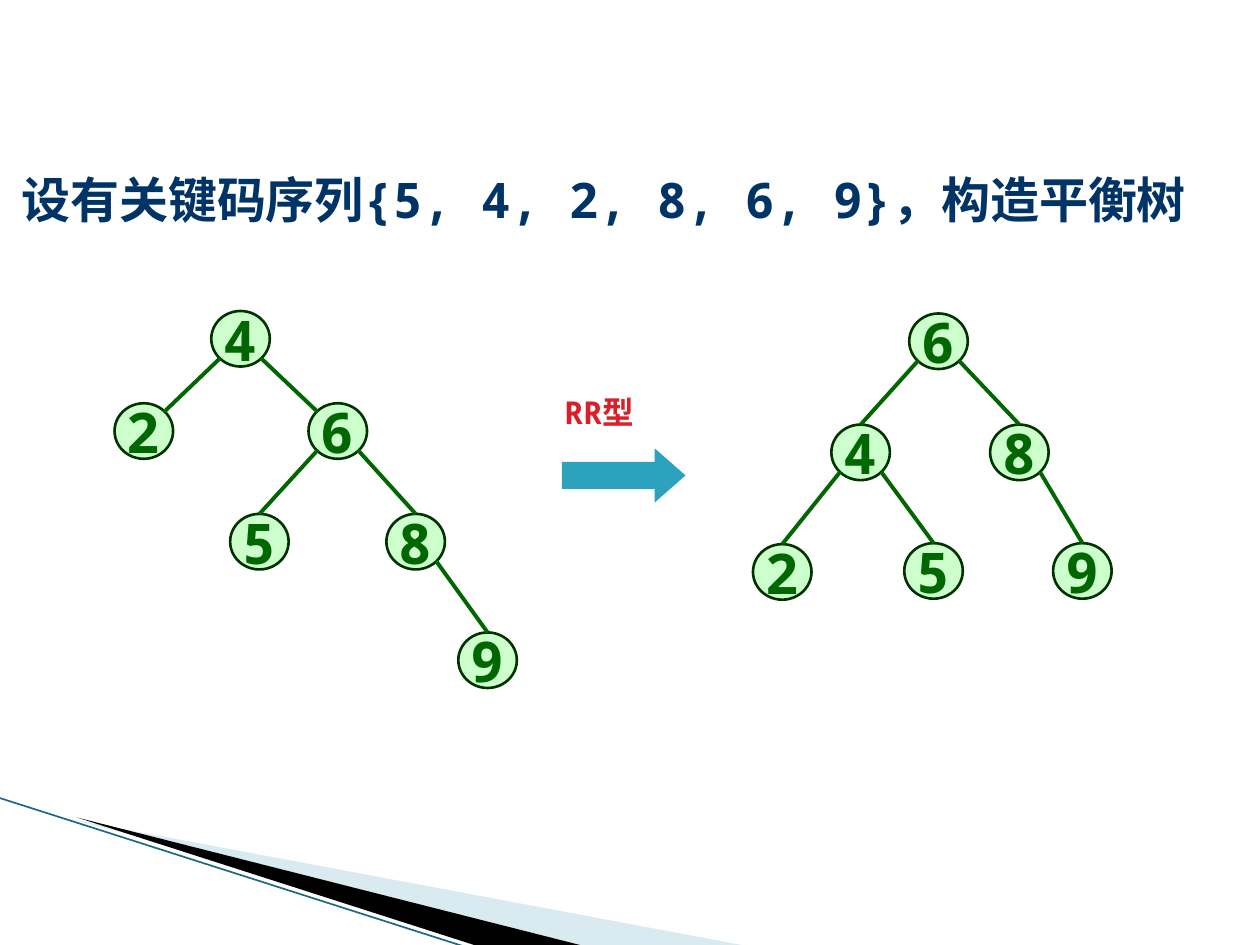
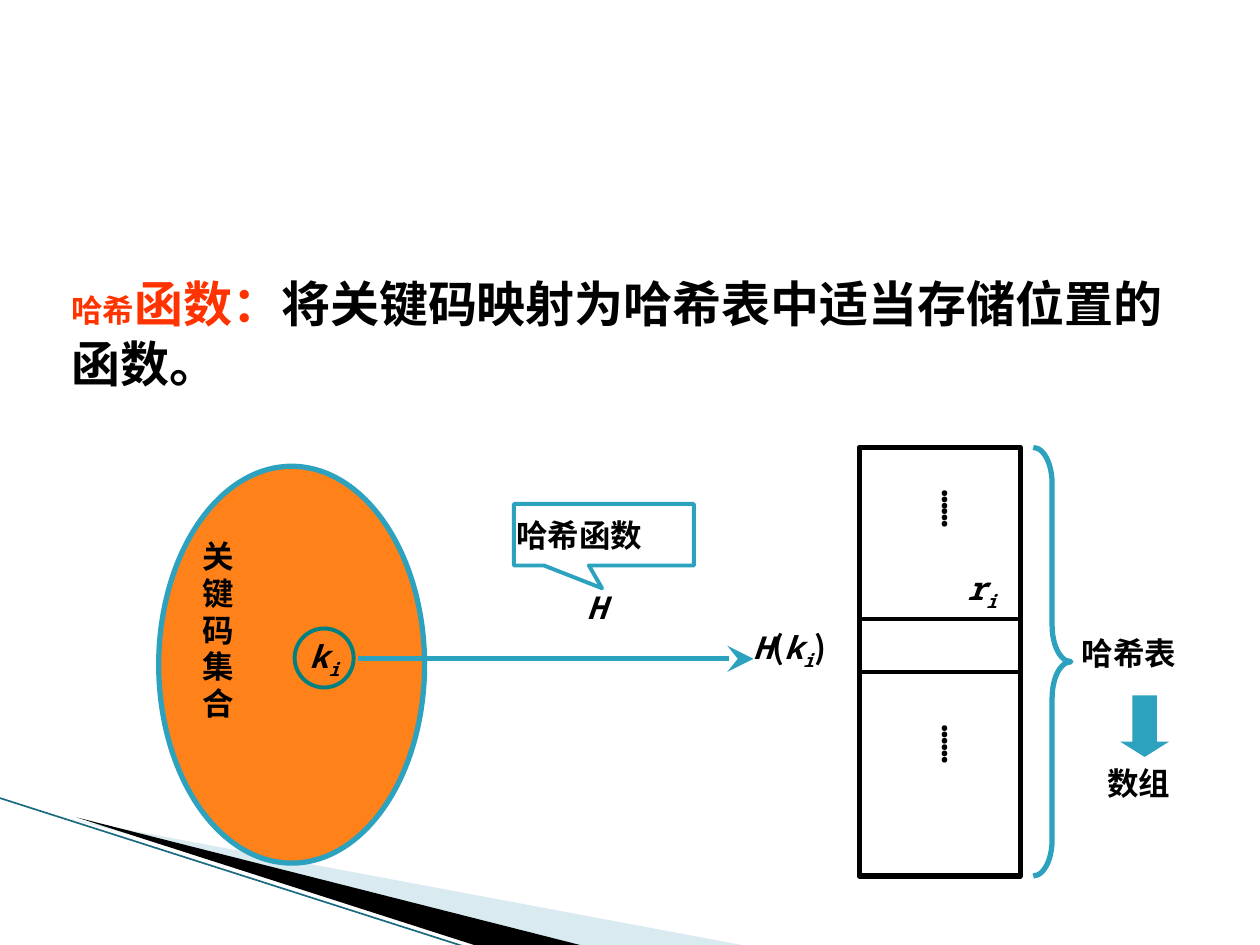
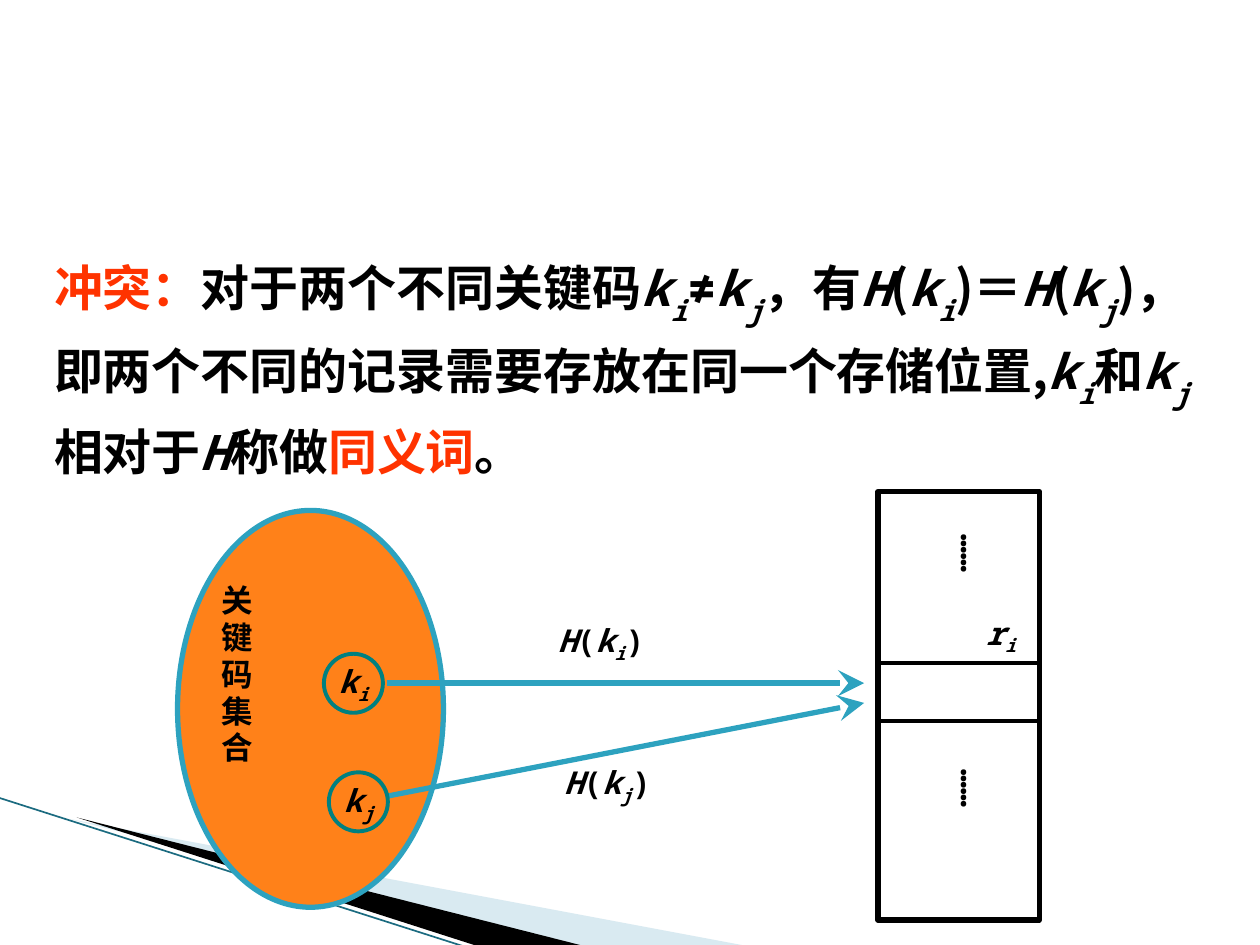
from lxml.etree import SubElement
from pptx import Presentation
from pptx.dml.color import RGBColor
from pptx.enum.shapes import MSO_CONNECTOR, MSO_SHAPE
from pptx.enum.text import MSO_ANCHOR, MSO_AUTO_SIZE, PP_ALIGN
from pptx.oxml.ns import qn
from pptx.util import Cm, Pt

MONO, CHINESE, SANS = "Noto Sans Mono", "Noto Sans CJK SC", "Arial"
TEAL, BLACK, ORANGE, RED = "2DA2BF", "000000", "FF8119", "FF3300"
EDGE_GREEN, NODE_FILL, NODE_LINE = "006600", "CCFFCC", "003300"
NAVY, LABEL_RED, RING = "003366", "DA1F28", "008080"
PALE_BLUE, THIN_LINE = "A0CBDC", "1B6B80"

TIGHT = (0.05, 0, 0.05, 0)
FLUSH = (0, 0.13, 0, 0.13)
NORMAL = (0.25, 0.13, 0.25, 0.13)
CHINESE_LINE = Pt(21.6)


def key(index, drop=-25):
    return [("k", {"italic": True}), (index, {"italic": True, "baseline": drop})]


def hashed(index, drop=-25, bracket=MONO):
    return [("H", {"italic": True}), ("(", {"font": bracket}), *key(index, drop),
            (")", {"font": bracket})]


WEDGES = [
    ([(1.4, 16.51), (15.11, 19.08), (11.58, 19.08)], PALE_BLUE, 40),
    ([(1.55, 16.48), (11.81, 19.08), (9.65, 19.08)], BLACK, 100),
]
THIN_EDGE = ((-0.03, 16.08), (9.42, 19.1))

TREE_TITLE = "设有关键码序列{5, 4, 2, 8, 6, 9}，构造平衡树"
TREES = [
    {"nodes": {"4": (4.85, 6.83), "2": (2.9, 8.69), "6": (6.81, 8.69),
               "5": (5.23, 10.92), "8": (8.38, 10.92), "9": (9.83, 13.31)},
     "edges": ["42", "46", "65", "68", "89"]},
    {"nodes": {"6": (18.92, 6.88), "4": (17.35, 9.12), "8": (20.55, 9.12),
               "2": (15.77, 11.53), "5": (18.82, 11.51), "9": (21.82, 11.51)},
     "edges": ["64", "68", "42", "45", "89"]},
]
NODE_WIDTH, NODE_HEIGHT = 1.18, 1.12

HASH_TITLE = [("哈希", {"size": 18, "color": RED}), ("函数：", {"color": RED}),
              "将关键码映射为哈希表中适当存储位置的函数。"]
HASH_DIAGRAM = {
    "origin": (3.2, 9.4), "lower_divider": 4.52,
    "keys": [("i", (5.94, 12.67))],
    "arrows": [((7.21, 13.28), (15.19, 13.28))],
    "labels": [(hashed("i", bracket=CHINESE), (15.14, 12.67, 2.06, 0.71), PP_ALIGN.LEFT),
               ([("H", {"italic": True})], (9.32, 11.91, 5.41, 0.94), PP_ALIGN.CENTER)],
}
TABLE_LABELS = [("哈希表", (21.56, 12.65, 3.07, 1.27)), ("数组", (22.07, 15.27, 2.26, 1.27))]

COLLISION_TITLE = [
    ("冲突：", {"color": RED}), "对于两个不同关键码", *key("i", -30), "≠", *key("j", -30),
    "，有", *hashed("i", -30, CHINESE), "＝", *hashed("j", -30, CHINESE),
    "，即两个不同的记录", ("需要存放在同一个存储位置,", {"font": CHINESE}),
    *key("i", -30), "和", *key("j", -30), "相对于", ("H", {"italic": True}), "称做",
    ("同义词", {"color": RED}), "。",
]
COLLISION_DIAGRAM = {
    "origin": (3.58, 10.29), "lower_divider": 4.62,
    "keys": [("i", (6.53, 13.18)), ("j", (6.63, 15.57))],
    "arrows": [((7.8, 13.77), (17.42, 13.77)), ((7.8, 16.05), (17.42, 14.17))],
    "labels": [(hashed("i"), (11.2, 12.52, 2.26, 0.94), PP_ALIGN.LEFT),
               (hashed("j"), (11.33, 15.39, 2.18, 0.94), PP_ALIGN.LEFT)],
}


def rgb(value):
    return RGBColor.from_string(value)


def write(shape, text, size=18, font=MONO, color=BLACK, asian=CHINESE, align=PP_ALIGN.LEFT,
          spacing=None, insets=NORMAL, anchor=MSO_ANCHOR.TOP, wrap=True):
    frame = shape.text_frame
    frame.auto_size = MSO_AUTO_SIZE.NONE
    frame.word_wrap = wrap
    frame.vertical_anchor = anchor
    (frame.margin_left, frame.margin_top,
     frame.margin_right, frame.margin_bottom) = map(Cm, insets)
    paragraph = frame.paragraphs[0]
    paragraph.alignment = align
    paragraph.line_spacing = spacing
    for part in [text] if isinstance(text, str) else text:
        content, changes = (part, {}) if isinstance(part, str) else part
        run = paragraph.add_run()
        run.text = content
        run.font.size = Pt(changes.get("size", size))
        run.font.bold = True
        run.font.italic = changes.get("italic", False)
        run.font.name = changes.get("font", font)
        run.font.color.rgb = rgb(changes.get("color", color))
        properties = run._r.get_or_add_rPr()
        SubElement(properties, qn("a:ea")).set("typeface", asian)
        if "baseline" in changes:
            properties.set("baseline", str(changes["baseline"] * 1000))


def add_label(slide, text, place, **style):
    label = slide.shapes.add_textbox(*map(Cm, place))
    write(label, text, **style)
    return label


def format_shape(shape, fill=None, line=None, width=1):
    shape.shadow.inherit = False
    if fill:
        shape.fill.solid()
        shape.fill.fore_color.rgb = rgb(fill)
    else:
        shape.fill.background()
    if line:
        shape.line.color.rgb = rgb(line)
        shape.line.width = Pt(width)
    else:
        shape.line.fill.background()


def add_figure(slide, kind, place, adjustments=(), **style):
    shape = slide.shapes.add_shape(kind, *map(Cm, place))
    for index, value in enumerate(adjustments):
        shape.adjustments[index] = value
    format_shape(shape, **style)
    return shape


def add_line(slide, start, end, color, width, arrow=False):
    connector = slide.shapes.add_connector(MSO_CONNECTOR.STRAIGHT, *map(Cm, (*start, *end)))
    connector.line.color.rgb = rgb(color)
    connector.line.width = Pt(width)
    properties = connector.element.spPr
    if arrow:
        head = SubElement(properties.find(qn("a:ln")), qn("a:tailEnd"))
        for name, value in (("type", "stealth"), ("w", "lg"), ("len", "lg")):
            head.set(name, value)
    SubElement(properties, qn("a:effectLst"))
    return connector


def add_title(slide, text, place, **style):
    title = slide.shapes.title
    title.left, title.top, title.width, title.height = map(Cm, place)
    write(title, text, size=28, **style)


def decorate_layout(layout, slide):
    for placeholder in list(layout.placeholders):
        if placeholder.placeholder_format.idx:
            layout.shapes.element.remove(placeholder.element)
    decorations = []
    for points, color, opacity in WEDGES:
        corners = [tuple(map(Cm, point)) for point in points]
        builder = slide.shapes.build_freeform(*corners[0])
        builder.add_line_segments(corners[1:], close=True)
        wedge = builder.convert_to_shape()
        format_shape(wedge, fill=color)
        if opacity < 100:
            fill_color = wedge.element.spPr.find(".//" + qn("a:srgbClr"))
            SubElement(fill_color, qn("a:alpha")).set("val", str(opacity * 1000))
        decorations.append(wedge)
    decorations.append(add_line(slide, *THIN_EDGE, THIN_LINE, 0.95))
    for decoration in decorations:
        layout.shapes.element.append(decoration.element)


def add_tree(slide, nodes, edges):
    for name, (x, y) in nodes.items():
        place = (x - NODE_WIDTH / 2, y - NODE_HEIGHT / 2, NODE_WIDTH, NODE_HEIGHT)
        node = add_figure(slide, MSO_SHAPE.OVAL, place,
                          fill=NODE_FILL, line=NODE_LINE, width=1.5)
        write(node, name, size=32, color=EDGE_GREEN, align=PP_ALIGN.CENTER,
              anchor=MSO_ANCHOR.MIDDLE, wrap=False)
    across, down = NODE_WIDTH * 0.35, NODE_HEIGHT * 0.35
    for parent, child in edges:
        (parent_x, parent_y), (child_x, child_y) = nodes[parent], nodes[child]
        side = 1 if child_x > parent_x else -1
        start = (parent_x + side * across, parent_y + down)
        if child_y - parent_y > abs(child_x - parent_x):
            end = (child_x, child_y - NODE_HEIGHT / 2)
        else:
            end = (child_x - side * across, child_y - down)
        add_line(slide, start, end, EDGE_GREEN, 2.25)


def add_hash_diagram(slide, origin, lower_divider, keys, arrows, labels):
    left, top = origin
    add_figure(slide, MSO_SHAPE.OVAL, (left, top, 5.36, 8),
               fill=ORANGE, line=TEAL, width=3)
    add_label(slide, "关键码集合", (left + 0.84, top + 1.45, 0.86, 4.88),
              spacing=Pt(21), insets=TIGHT)
    table_left, table_top, table_width = left + 14.12, top - 0.38, 3.25
    table = add_figure(slide, MSO_SHAPE.RECTANGLE,
                       (table_left, table_top, table_width, 8.64), line=BLACK, width=3)
    write(table, [("r", {"italic": True}), ("i", {"italic": True, "baseline": -25})],
          insets=(2.18, 2.46, 0, 0))
    for offset in (3.45, lower_divider):
        y = table_top + offset
        add_line(slide, (table_left, y), (table_left + table_width, y), BLACK, 2.25)
    for offset in (0.76, 5.51):
        dots = add_label(slide, "……", (table_left + 1.37, table_top + offset, 0.94, 2.29),
                         asian=MONO, spacing=0.96, insets=(0.05, 0.1, 0.05, 0))
        dots.element.find(".//" + qn("a:bodyPr")).set("vert", "eaVert")
    for text, place, align in labels:
        add_label(slide, text, place, align=align, spacing=0.96, insets=TIGHT)
    for start, end in arrows:
        add_line(slide, start, end, TEAL, 3, arrow=True)
    for index, corner in keys:
        ring = add_figure(slide, MSO_SHAPE.OVAL, (*corner, 1.19, 1.19), line=RING, width=2.25)
        ring_insets = (0.13, 0, 0, 0)
        write(ring, key(index), spacing=0.96, insets=ring_insets, wrap=False)


def build_tree_slide(slide):
    add_title(slide, TREE_TITLE, (0.43, 3.28, 24.28, 1.45), color=NAVY, insets=FLUSH)
    for tree in TREES:
        add_tree(slide, **tree)
    add_figure(slide, MSO_SHAPE.RIGHT_ARROW, (11.33, 9.04, 2.49, 1.09), (0.5, 0.569), fill=TEAL)
    add_label(slide, "RR型", (11.13, 7.8, 2.62, 1.27), color=LABEL_RED)


def build_hash_slide(slide):
    add_title(slide, HASH_TITLE, (1.19, 5.38, 23.29, 2.62), spacing=Pt(34))
    add_hash_diagram(slide, **HASH_DIAGRAM)
    add_figure(slide, MSO_SHAPE.RIGHT_BRACE, (20.83, 9.02, 0.76, 8.64), (0.959, 0.5),
               line=TEAL, width=3)
    callout = add_figure(slide, MSO_SHAPE.RECTANGULAR_CALLOUT, (10.36, 10.16, 3.63, 1.24),
                         (-0.01, 0.871), line=TEAL, width=2.25)
    write(callout, "哈希函数", font=SANS, spacing=CHINESE_LINE, insets=TIGHT,
          anchor=MSO_ANCHOR.MIDDLE)
    add_figure(slide, MSO_SHAPE.DOWN_ARROW, (22.58, 14.02, 0.99, 1.24), (0.5, 0.313), fill=TEAL)
    for text, place in TABLE_LABELS:
        add_label(slide, text, place, font=SANS, spacing=CHINESE_LINE)


def build_collision_slide(slide):
    add_title(slide, COLLISION_TITLE, (1.09, 4.78, 23.27, 4.52), spacing=1.2, insets=FLUSH)
    add_hash_diagram(slide, **COLLISION_DIAGRAM)


def main():
    presentation = Presentation()
    presentation.slide_width, presentation.slide_height = Cm(25.4), Cm(19.05)
    layout = presentation.slide_layouts[5]
    builders = (build_tree_slide, build_hash_slide, build_collision_slide)
    slides = [presentation.slides.add_slide(layout) for _ in builders]
    decorate_layout(layout, slides[0])
    for build, slide in zip(builders, slides):
        build(slide)
    presentation.save("out.pptx")


if __name__ == "__main__":
    main()
